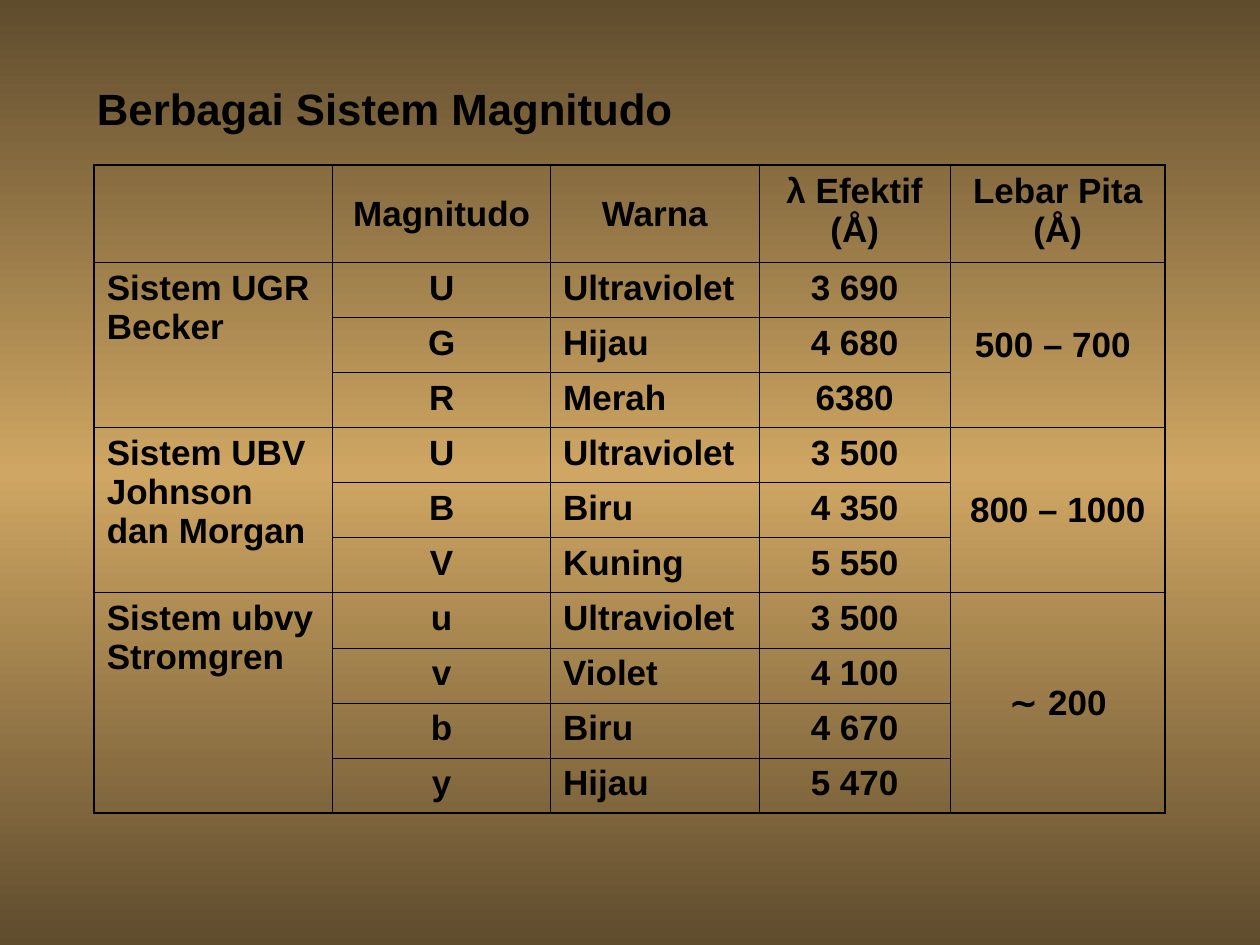
from copy import deepcopy

from lxml.etree import SubElement
from pptx import Presentation
from pptx.dml.color import RGBColor
from pptx.enum.text import MSO_ANCHOR, MSO_AUTO_SIZE, PP_ALIGN
from pptx.oxml.ns import qn
from pptx.util import Cm, Pt

BLACK = RGBColor(0x00, 0x00, 0x00)
BROWN = RGBColor(0x5F, 0x4C, 0x2D)
GOLD = RGBColor(0xCF, 0xA6, 0x63)

FONT = "Arial"
THIN, THICK = Pt(0.45), Pt(1.08)
WIDTHS = [4.81, 4.39, 4.2, 3.86, 4.33]
HEAD_H, ROW_H = 1.96, 1.11

HEADS = ["", "Magnitudo", "Warna", "λ Efektif (Å)", "Lebar Pita (Å)"]
# System, its bands (magnitude, colour, wavelength), band width
SYSTEMS = [
    ("Sistem UGR Becker",
     [("U", "Ultraviolet", "3 690"),
      ("G", "Hijau", "4 680"),
      ("R", "Merah", "6380")],
     "500 – 700 "),
    ("Sistem UBV Johnson dan Morgan",
     [("U", "Ultraviolet", "3 500"),
      ("B", "Biru", "4 350"),
      ("V", "Kuning", "5 550")],
     "800 – 1000"),
    ("Sistem ubvy\nStromgren",
     [("u", "Ultraviolet", "3 500"),
      ("v", "Violet", "4 100"),
      ("b", "Biru", "4 670"),
      ("y", "Hijau", "5 470")],
     "∼ 200"),
]


def style(para, size, align):
    para.alignment = align
    font = para.font
    font.name, font.size, font.bold = FONT, Pt(size), True
    font.color.rgb = BLACK


def paint_back(slide):
    fill = slide.background.fill
    fill.gradient()
    fill.gradient_angle = 270
    first = fill.gradient_stops[0]._gs
    first.addnext(deepcopy(first))
    for stop, (place, color) in zip(
            fill.gradient_stops, [(0, BROWN), (0.5, GOLD), (1, BROWN)]):
        stop.position = place
        stop.color.rgb = color


def add_title(slide, text):
    title = slide.shapes.title
    title.left, title.top = Cm(1.7), Cm(1.52)
    title.width, title.height = Cm(12.8), Cm(1.32)
    frame = title.text_frame
    frame.text = text
    frame.word_wrap = True
    frame.auto_size = MSO_AUTO_SIZE.NONE
    frame.vertical_anchor = MSO_ANCHOR.TOP
    style(frame.paragraphs[0], 25, PP_ALIGN.LEFT)


def add_edge(cell, side, width):
    line = SubElement(cell._tc.get_or_add_tcPr(), qn(f"a:ln{side}"), w=str(width))
    fill = SubElement(line, qn("a:solidFill"))
    SubElement(fill, qn("a:srgbClr"), val=str(BLACK))


def fill_cell(cell, text, align, middle):
    cell.text = text
    cell.vertical_anchor = MSO_ANCHOR.MIDDLE if middle else MSO_ANCHOR.TOP
    paras = cell.text_frame.paragraphs
    for para in paras:
        style(para, 20, align)
        if len(paras) == 1:
            para.space_before = Pt(5)


def draw_grid(table):
    last_row, last_col = len(table.rows) - 1, len(table.columns) - 1
    for r in range(last_row + 1):
        for c in range(last_col + 1):
            cell = table.cell(r, c)
            end = r + (cell.span_height if cell.is_merge_origin else 1) - 1
            outer = {"L": c == 0, "R": c == last_col,
                     "T": r == 0, "B": end == last_row}
            for side, edge in outer.items():
                add_edge(cell, side, THICK if edge else THIN)
            cell.fill.background()


def add_grid(slide):
    count = sum(len(bands) for _, bands, _ in SYSTEMS)
    table = slide.shapes.add_table(
        count + 1, len(WIDTHS), Cm(1.9), Cm(3.33),
        Cm(sum(WIDTHS)), Cm(HEAD_H + count * ROW_H)).table
    table.first_row = table.horz_banding = False
    for col, width in zip(table.columns, WIDTHS):
        col.width = Cm(width)
    for i, row in enumerate(table.rows):
        row.height = Cm(ROW_H if i else HEAD_H)

    # Header row
    for c, head in enumerate(HEADS):
        fill_cell(table.cell(0, c), head, PP_ALIGN.CENTER, c < 3)

    # One block of rows per system
    top = 1
    for name, bands, span in SYSTEMS:
        end = top + len(bands) - 1
        for c in (0, 4):
            table.cell(top, c).merge(table.cell(end, c))
        fill_cell(table.cell(top, 0), name, PP_ALIGN.LEFT, False)
        fill_cell(table.cell(top, 4), span, PP_ALIGN.CENTER, True)
        for r, band in enumerate(bands, top):
            for c, text in enumerate(band, 1):
                align = PP_ALIGN.LEFT if c == 2 else PP_ALIGN.CENTER
                fill_cell(table.cell(r, c), text, align, False)
        top = end + 1
    draw_grid(table)


def main():
    deck = Presentation()
    deck.slide_width, deck.slide_height = Cm(25.4), Cm(19.05)
    slide = deck.slides.add_slide(deck.slide_layouts[5])
    paint_back(slide)
    add_grid(slide)
    add_title(slide, "Berbagai Sistem Magnitudo")
    deck.save("out.pptx")


if __name__ == "__main__":
    main()
